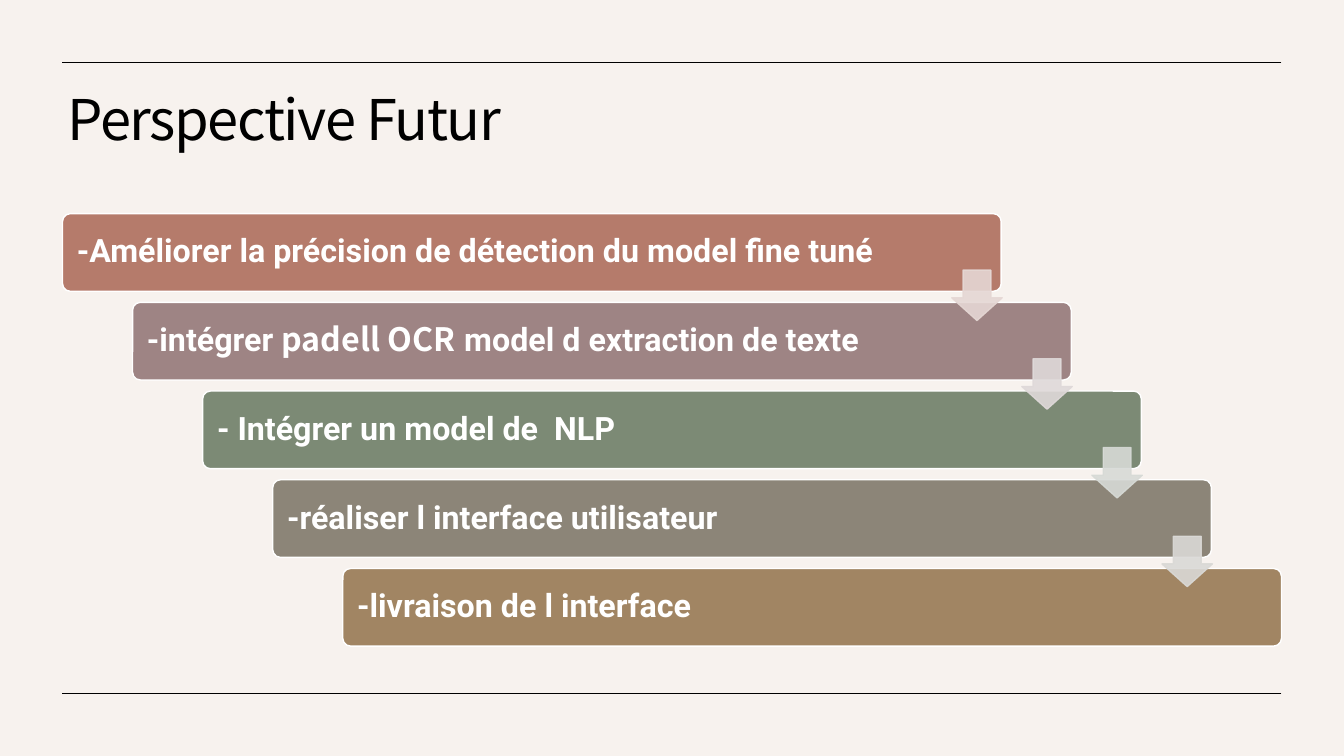
"""Build the "Perspective Futur" slide: five stepped bars joined by arrows."""
from lxml.etree import SubElement
from pptx import Presentation
from pptx.dml.color import RGBColor
from pptx.enum.shapes import MSO_CONNECTOR, MSO_SHAPE
from pptx.enum.text import MSO_ANCHOR, MSO_AUTO_SIZE, PP_ALIGN
from pptx.oxml.ns import qn
from pptx.util import Inches, Pt

CREAM = RGBColor(0xF7, 0xF2, 0xEE)
BLACK = RGBColor(0x00, 0x00, 0x00)
WHITE = RGBColor(0xFF, 0xFF, 0xFF)
TERRACOTTA = RGBColor(0xB5, 0x7B, 0x6B)
MAUVE = RGBColor(0x9E, 0x84, 0x84)
SAGE = RGBColor(0x7C, 0x8A, 0x75)
TAUPE = RGBColor(0x8C, 0x85, 0x78)
OCHRE = RGBColor(0xA1, 0x85, 0x63)
ARROW_COLORS = [
    RGBColor(0xE5, 0xD7, 0xD4),
    RGBColor(0xDF, 0xD9, 0xD9),
    RGBColor(0xD7, 0xDA, 0xD6),
    RGBColor(0xDA, 0xD9, 0xD6),
]
SANS, BOLD_SANS = "Noto Sans CJK KR", "Roboto"

STEPS = [
    (TERRACOTTA, [("-Améliorer la précision de détection du model fine tuné", BOLD_SANS)]),
    (MAUVE, [("-intégrer ", BOLD_SANS), ("padell OCR", SANS),
             (" model d extraction de texte", BOLD_SANS)]),
    (SAGE, [("- Intégrer un model de  NLP", BOLD_SANS)]),
    (TAUPE, [("-réaliser l interface utilisateur", BOLD_SANS)]),
    (OCHRE, [("-livraison de l interface", BOLD_SANS)]),
]
LEFT, RIGHT = 0.62, 12.71
BAR_TOP, BAR_WIDTH, BAR_HEIGHT = 2.12, 9.31, 0.77
STEP_X = (RIGHT - LEFT - BAR_WIDTH) / (len(STEPS) - 1)
STEP_Y = 0.88
ARROW_LEFT, ARROW_TOP, ARROW_SIZE = 9.44, 2.68, 0.5


def add_run(paragraph, text, font_name, size, color, bold=False):
    run = paragraph.add_run()
    run.text = text
    run.font.name = font_name
    run.font.size = Pt(size)
    run.font.bold = bold
    run.font.color.rgb = color
    return run


def add_block(preset, left, top, width, height, fill, outline):
    block = slide.shapes.add_shape(
        preset, Inches(left), Inches(top), Inches(width), Inches(height))
    block.shadow.inherit = False
    block.fill.solid()
    block.fill.fore_color.rgb = fill
    block.line.color.rgb = outline
    block.line.width = Pt(1)
    return block


prs = Presentation()
prs.slide_width, prs.slide_height = Inches(13.33), Inches(7.5)
slide = prs.slides.add_slide(prs.slide_layouts[5])
slide.background.fill.solid()
slide.background.fill.fore_color.rgb = CREAM

heading = slide.shapes.title
heading.left, heading.top = Inches(0.57), Inches(0.86)
heading.width, heading.height = Inches(12.15), Inches(1.15)
heading.text_frame.auto_size = MSO_AUTO_SIZE.NONE
heading.text_frame.vertical_anchor = MSO_ANCHOR.TOP
heading_line = heading.text_frame.paragraphs[0]
heading_line.alignment = PP_ALIGN.LEFT
heading_line.line_spacing = 0.9
heading_run = add_run(heading_line, "Perspective Futur", SANS, 40, BLACK)
heading_run.font._element.set("spc", "-100")

for rule_y in (0.62, 6.88):
    rule = slide.shapes.add_connector(
        MSO_CONNECTOR.STRAIGHT, Inches(RIGHT), Inches(rule_y), Inches(LEFT), Inches(rule_y))
    rule.line.color.rgb = BLACK
    rule.line.width = Pt(0.5)
    SubElement(rule._element.spPr, qn("a:effectLst"))

for i, (color, pieces) in enumerate(STEPS):
    bar = add_block(MSO_SHAPE.ROUNDED_RECTANGLE, LEFT + i * STEP_X, BAR_TOP + i * STEP_Y,
                    BAR_WIDTH, BAR_HEIGHT, color, WHITE)
    bar.adjustments[0] = 0.1
    label = bar.text_frame
    label.word_wrap = True
    label.vertical_anchor = MSO_ANCHOR.MIDDLE
    label.margin_left = Inches(0.12)
    label_line = label.paragraphs[0]
    label_line.alignment = PP_ALIGN.LEFT
    label_line.line_spacing = 0.9
    for text, font_name in pieces:
        add_run(label_line, text, font_name, 23, WHITE, bold=True)

for i, color in enumerate(ARROW_COLORS):
    arrow = add_block(MSO_SHAPE.DOWN_ARROW, ARROW_LEFT + i * STEP_X, ARROW_TOP + i * STEP_Y,
                      ARROW_SIZE, ARROW_SIZE, color, color)
    arrow.adjustments[0] = 0.55
    arrow.adjustments[1] = 0.45
    for tint in arrow._element.spPr.iter(qn("a:srgbClr")):
        SubElement(tint, qn("a:alpha"), val="90000")

prs.save("out.pptx")
